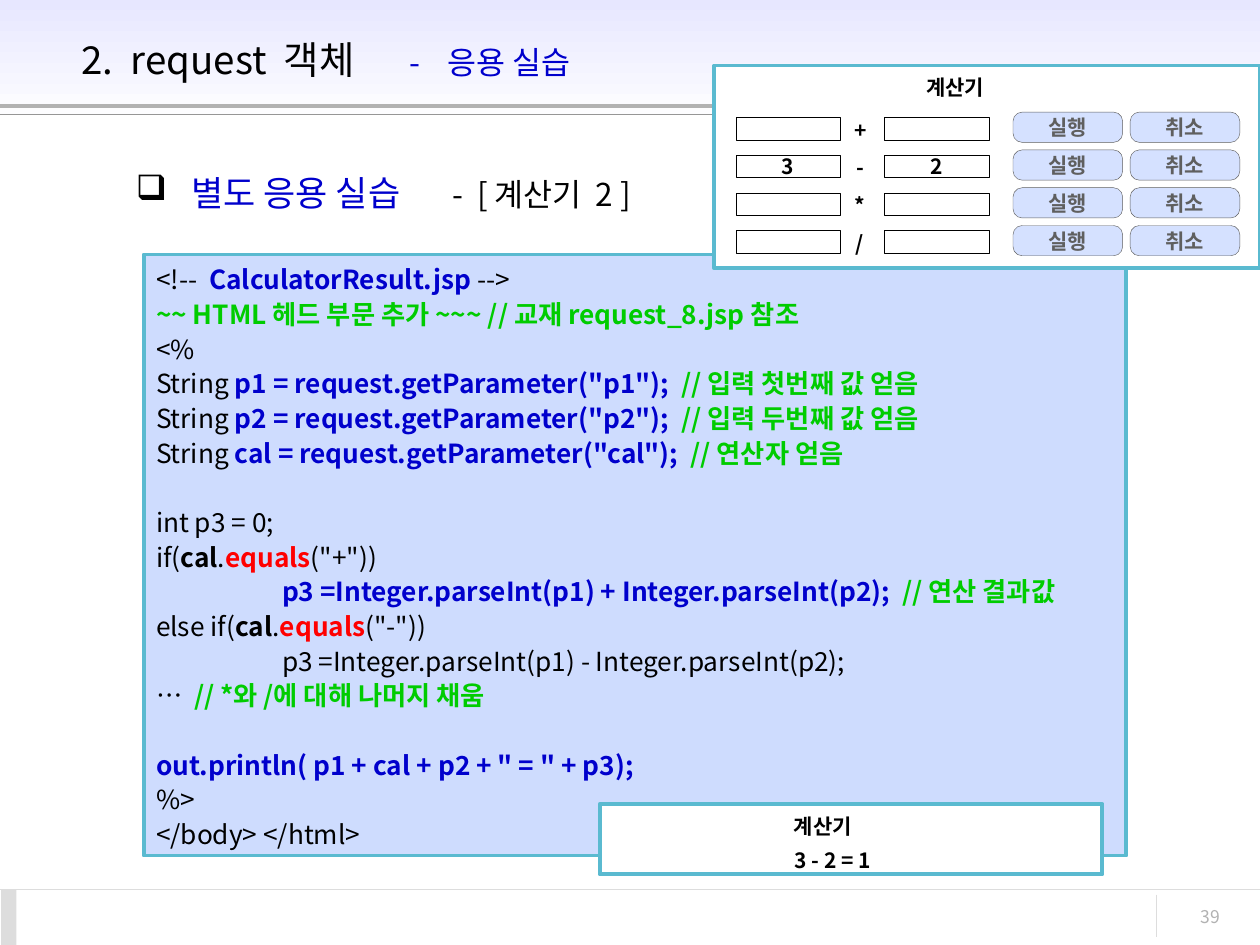
"""Build the request object practice slide with its calculator panels."""
import dataclasses
import typing

import lxml.etree
import pptx
import pptx.dml.color
import pptx.enum.shapes
import pptx.enum.text
import pptx.oxml.ns
import pptx.util

Inches = pptx.util.Inches
Pt = pptx.util.Pt
Align = pptx.enum.text.PP_ALIGN
Form = pptx.enum.shapes.MSO_SHAPE
qn = pptx.oxml.ns.qn


@dataclasses.dataclass(frozen=True)
class Theme:
    font: str = "Noto Sans CJK KR"
    black: str = "000000"
    white: str = "FFFFFF"
    blue: str = "0000CC"
    green: str = "00CC00"
    red: str = "FF0000"
    teal: str = "5ABAD0"
    panel: str = "CEDCFE"
    button: str = "D5E1FF"
    gray: str = "5F5F5F"
    silver: str = "B2B2B2"
    steel: str = "969696"
    pale: str = "DDDDDD"
    haze: str = "E7E7FF"
    title: float = 22
    head: float = 20
    sub: float = 18
    code: float = 15
    label: float = 12
    small: float = 10
    pitch: float = 19.8


THEME = Theme()


class Box(typing.NamedTuple):
    left: float
    top: float
    width: float
    height: float


class Run(typing.NamedTuple):
    text: str
    color: str = THEME.black
    bold: bool = False
    size: typing.Optional[float] = None


class Rule(typing.NamedTuple):
    start: tuple
    end: tuple
    color: str
    weight: float


def rgb(color: str):
    return pptx.dml.color.RGBColor.from_string(color)


def style(para, size: float, color: str = THEME.black, bold: bool = False, align=Align.LEFT):
    para.alignment = align
    font = para.font
    font.size, font.bold, font.name = Pt(size), bold, THEME.font
    font.color.rgb = rgb(color)
    lxml.etree.SubElement(font._element, qn("a:ea"), typeface=THEME.font)


def add_runs(para, runs: typing.Iterable[Run]):
    for item in runs:
        run = para.add_run()
        run.text = item.text
        if item.color != THEME.black:
            run.font.color.rgb = rgb(item.color)
        if item.bold:
            run.font.bold = True
        if item.size:
            run.font.size = Pt(item.size)


def set_tabs(para, *stops: float):
    tabs = lxml.etree.Element(qn("a:tabLst"))
    for stop in stops:
        lxml.etree.SubElement(tabs, qn("a:tab"), pos=str(Inches(stop)), algn="l")
    para.font._element.addprevious(tabs)


def set_bullet(para, mark: str, indent: float):
    props = para._p.get_or_add_pPr()
    props.set("marL", str(Inches(indent)))
    props.set("indent", str(-Inches(indent)))
    color = lxml.etree.Element(qn("a:buClr"))
    lxml.etree.SubElement(color, qn("a:srgbClr"), val=THEME.black)
    bullet = lxml.etree.Element(qn("a:buChar"), char=mark)
    for node in (color, bullet):
        para.font._element.addprevious(node)


def add_shape(shapes, box: Box, fill=None, line=None, weight: float = 0.25, form=Form.RECTANGLE):
    shape = shapes.add_shape(form, *map(Inches, box))
    shape.shadow.inherit = False
    if fill:
        shape.fill.solid()
        shape.fill.fore_color.rgb = rgb(fill)
    else:
        shape.fill.background()
    if line:
        shape.line.color.rgb = rgb(line)
        shape.line.width = Pt(weight)
    else:
        shape.line.fill.background()
    return shape


def add_rule(shapes, rule: Rule):
    kind = pptx.enum.shapes.MSO_CONNECTOR.STRAIGHT
    line = shapes.add_connector(kind, *map(Inches, rule.start + rule.end))
    line.line.color.rgb = rgb(rule.color)
    line.line.width = Pt(rule.weight)
    lxml.etree.SubElement(line._element.spPr, qn("a:effectLst"))


def add_text(shapes, box: Box, wrap: bool = True):
    frame = shapes.add_textbox(*map(Inches, box)).text_frame
    frame.word_wrap = wrap
    return frame


def add_label(frame, text: str, color: str = THEME.black):
    frame.word_wrap = False
    para = frame.paragraphs[0]
    para.text = text
    style(para, THEME.label, color, True, Align.CENTER)


def draw_base(shapes):
    band = add_shape(shapes, Box(0, 0, 10, 1), THEME.haze)
    band.fill.gradient()
    band.fill.gradient_angle = 270
    for stop, color in zip(band.fill.gradient_stops, (THEME.haze, THEME.white)):
        stop.color.rgb = rgb(color)
    for rule in (
        Rule((0, 0.84), (10, 0.84), THEME.silver, 2.25),
        Rule((0, 0.91), (10, 0.91), THEME.steel, 0.75),
        Rule((0, 7.06), (10, 7.06), THEME.pale, 0.75),
        Rule((9.18, 7.1), (9.18, 7.44), THEME.pale, 0.75),
    ):
        add_rule(shapes, rule)
    add_shape(shapes, Box(0.01, 7.06, 0.12, 0.44), THEME.pale)
    para = add_text(shapes, Box(8.86, 7.14, 0.92, 0.33)).paragraphs[0]
    para.text = "39"
    style(para, THEME.small, THEME.silver, align=Align.RIGHT)


def draw_heads(shapes):
    frame = add_text(shapes, Box(0.55, 0.13, 8.63, 0.68))
    frame.vertical_anchor = pptx.enum.text.MSO_ANCHOR.MIDDLE
    para = frame.paragraphs[0]
    style(para, THEME.title)
    set_tabs(para, 2.6, 2.9)
    add_runs(para, [Run("2.  request  객체\t"), Run("-\t응용 실습", THEME.blue, size=THEME.sub)])
    para = add_text(shapes, Box(0.98, 1.31, 5.51, 1.57)).paragraphs[0]
    style(para, THEME.head)
    para.space_before, para.space_after = Pt(4.5), Pt(11.2)
    set_bullet(para, "❑", 0.44)
    set_tabs(para, 2.07, 2.51)
    add_runs(para, [Run("별도 응용 실습\t", THEME.blue), Run("-  [ 계산기  2 ]", size=THEME.sub)])


def draw_code(shapes):
    def blue(text): return Run(text, THEME.blue, True)
    def note(text): return Run(text, THEME.green, True)

    def fetch(name, text):
        return [Run("String "), blue(f'{name} = request.getParameter("{name}");  '), note(text)]

    def test(start, sign):
        return [Run(start), Run("cal", bold=True), Run("."),
                Run("equals", THEME.red, True), Run(f'("{sign}"))')]

    parts = [
        [[Run("<!--  "), blue("CalculatorResult.jsp"), Run(" -->")],
         [note("~~ HTML 헤드 부문 추가 ~~~ // 교재 request_8.jsp 참조")],
         [Run("<%")],
         fetch("p1", "// 입력 첫번째 값 얻음"),
         fetch("p2", "// 입력 두번째 값 얻음"),
         fetch("cal", "// 연산자 얻음")],
        [[Run("int p3 = 0;")],
         test("if(", "+"),
         [blue("\tp3 =Integer.parseInt(p1) + Integer.parseInt(p2);  "), note("// 연산 결과값")],
         test("else if(", "-"),
         [Run("\tp3 =Integer.parseInt(p1) - Integer.parseInt(p2);")],
         [Run("…  "), note("// *와 /에 대해 나머지 채움")]],
        [[blue('out.println( p1 + cal + p2 + " = " + p3);')],
         [Run("%>")],
         [Run("</body> </html>")]],
    ]
    frame = add_shape(shapes, Box(1.14, 2.02, 7.8, 4.77), THEME.panel, THEME.teal, 2.25).text_frame
    frame.word_wrap = True
    frame.vertical_anchor = pptx.enum.text.MSO_ANCHOR.MIDDLE
    for part, lines in enumerate(parts):
        for row, runs in enumerate(lines):
            para = frame.add_paragraph() if part or row else frame.paragraphs[0]
            style(para, THEME.code)
            para.line_spacing = Pt(THEME.pitch)
            if part and not row:
                para.space_before = Pt(THEME.pitch)
            set_tabs(para, 1)
            add_runs(para, runs)


def draw_form(shapes):
    add_shape(shapes, Box(5.67, 0.52, 4.33, 1.61), THEME.white, THEME.teal, 2.25)
    add_label(add_text(shapes, Box(7.25, 0.54, 0.66, 0.3)), "계산기")
    rows = [("", "+", ""), ("3", "-", "2"), ("", "*", ""), ("", "/", "")]
    for row, (first, sign, second) in enumerate(rows):
        drop = 0.3 * row
        for left, text in ((5.84, first), (7.02, second)):
            field = add_shape(shapes, Box(left, 0.93 + drop, 0.83, 0.18), line=THEME.black)
            if text:
                add_label(field.text_frame, text)
        add_label(add_text(shapes, Box(6.68, 0.88 + drop, 0.29, 0.3)), sign)
        for left, text in ((8.04, "실행"), (8.97, "취소")):
            button = add_shape(shapes, Box(left, 0.89 + drop, 0.87, 0.24), THEME.button,
                               THEME.gray, form=Form.ROUNDED_RECTANGLE)
            button.adjustments[0] = 0.3
            add_label(button.text_frame, text, THEME.gray)


def draw_result(shapes):
    add_shape(shapes, Box(4.76, 6.38, 3.99, 0.56), THEME.white, THEME.teal, 2.25)
    add_label(add_text(shapes, Box(6.2, 6.41, 0.66, 0.3)), "계산기")
    add_label(add_text(shapes, Box(6.2, 6.68, 0.82, 0.3)), "3 - 2 = 1")


def main():
    deck = pptx.Presentation()
    deck.slide_width, deck.slide_height = Inches(10), Inches(7.5)
    shapes = deck.slides.add_slide(deck.slide_layouts[6]).shapes
    for draw in (draw_base, draw_heads, draw_code):
        draw(shapes)
    for draw in (draw_form, draw_result):
        draw(shapes.add_group_shape().shapes)
    deck.save("out.pptx")


if __name__ == "__main__":
    main()
